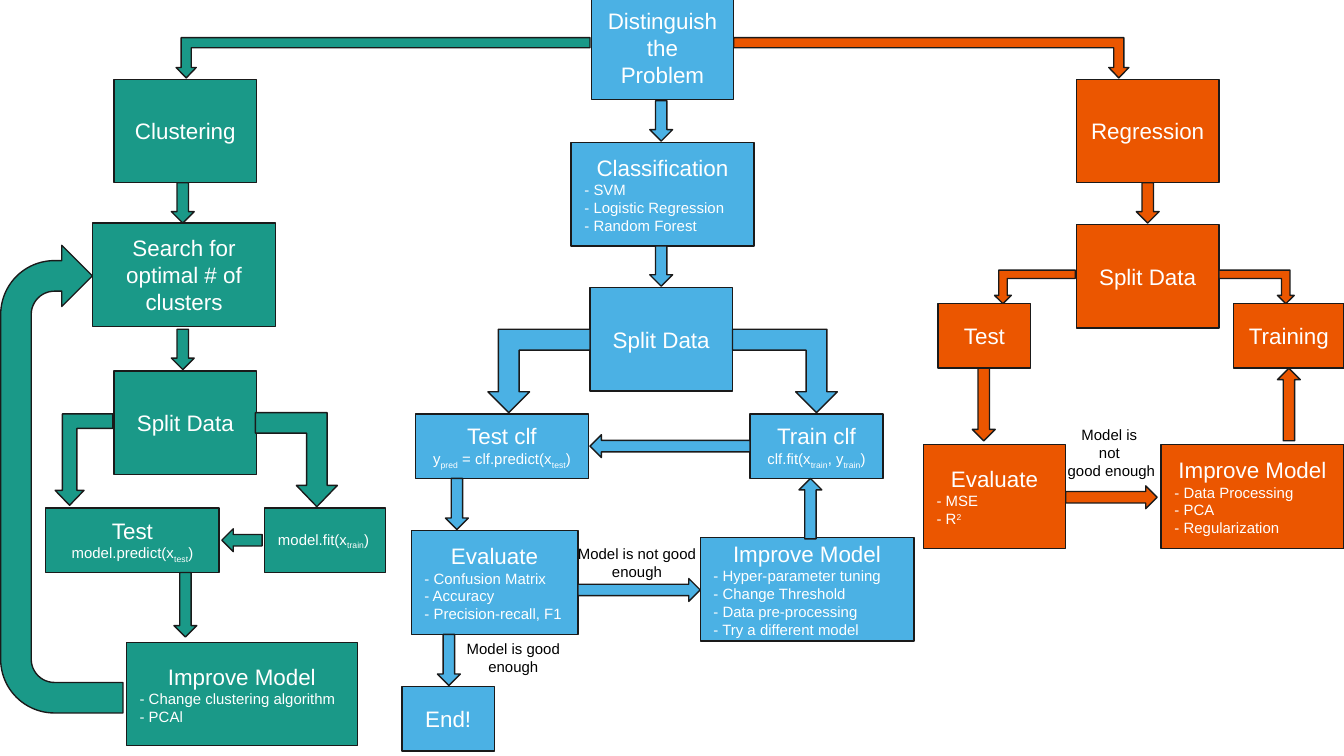
from dataclasses import dataclass
from pptx import Presentation
from pptx.dml.color import RGBColor as RGB
from pptx.enum.shapes import MSO_SHAPE as Kind
from pptx.enum.text import MSO_ANCHOR as Anchor, PP_ALIGN as Align
from pptx.util import Inches, Pt


@dataclass(frozen=True)
class Theme:
    green: RGB = RGB(0x1A, 0x99, 0x88)
    blue: RGB = RGB(0x4B, 0xB1, 0xE4)
    orange: RGB = RGB(0xEB, 0x56, 0x00)
    edge: RGB = RGB(0x1A, 0x1A, 0x1A)
    white: RGB = RGB(0xFF, 0xFF, 0xFF)
    black: RGB = RGB(0, 0, 0)
    font: str = "Arial"
    head: int = 12
    body: int = 8
    rule: float = 0.75


THEME = Theme()
TALL, LOW = 0.77, 0.48      # box heights
SIDE = 1.06                 # usual box width
THICK = 0.17                # straight arrow breadth
LEFT, MID = Align.LEFT, Align.CENTER


def write(para, text, size=THEME.body, color=THEME.white, align=LEFT):
    """Fill a paragraph; |x| sets x as subscript and |^x| as superscript."""
    para.alignment = align
    for i, part in enumerate(text.split("|")):
        if not part:
            continue
        run = para.add_run()
        run.text = part.lstrip("^")
        font = run.font
        font.name, font.size = THEME.font, Pt(size)
        font.color.rgb = color
        if i % 2:
            base = "30000" if part[0] == "^" else "-25000"
            run._r.get_or_add_rPr().set("baseline", base)


def frame(shape, anchor):
    """Set up the text frame and yield its paragraphs as they are needed."""
    body = shape.text_frame
    body.word_wrap = True
    body.vertical_anchor = anchor
    body.margin_left = body.margin_right = Inches(0.1)
    body.margin_top = body.margin_bottom = Inches(0.1)
    yield body.paragraphs[0]
    while True:
        yield body.add_paragraph()


def solid(slide, kind, x, y, w, h, color):
    shape = slide.shapes.add_shape(
        kind, Inches(x), Inches(y), Inches(w), Inches(h))
    shape.shadow.inherit = False
    shape.fill.solid()
    shape.fill.fore_color.rgb = color
    shape.line.color.rgb = THEME.edge
    shape.line.width = Pt(THEME.rule)
    return shape


def box(slide, color, x, y, w, h, head, *lines, align=LEFT):
    paras = frame(solid(slide, Kind.RECTANGLE, x, y, w, h, color),
                  Anchor.MIDDLE)
    if head:
        write(next(paras), head, size=THEME.head, align=MID)
    for line in lines:
        write(next(paras), line, align=align)


def arrow(slide, color, x1, y1, x2, y2):
    """Draw a straight block arrow from one point to the other."""
    span = abs(x2 - x1) + abs(y2 - y1)
    if x1 == x2:
        turn = 0 if y2 > y1 else 180
    else:
        turn = 90 if x2 < x1 else 270
    shape = solid(slide, Kind.DOWN_ARROW, (x1 + x2 - THICK) / 2,
                  (y1 + y2 - span) / 2, THICK, span, color)
    shape.rotation = turn


def bend(slide, color, x, y, w, h, right=False, head=0.25):
    """Draw an arrow that runs sideways and then turns down."""
    shape = solid(slide, Kind.BENT_UP_ARROW, x, y, w, h, color)
    shape.adjustments[2] = head
    shape.rotation = 180
    if right:
        shape._element.spPr.xfrm.set("flipH", "1")


def loop(slide, color, x, y, w, h):
    """Draw the arrow that goes back up to an earlier step."""
    shape = solid(slide, Kind.U_TURN_ARROW, x, y, w, h, color)
    for i, part in enumerate((0.25, 0.25, 0.25, 0.44, 0.75)):
        shape.adjustments[i] = part
    shape.rotation = 270


def label(slide, x, y, *lines):
    area = slide.shapes.add_textbox(
        Inches(x), Inches(y), Inches(1.2), Inches(0.34))
    paras = frame(area, Anchor.TOP)
    for line in lines:
        write(next(paras), line, color=THEME.black, align=MID)


def cluster(slide):
    tone = THEME.green
    bend(slide, tone, 1.31, 0.28, 3.08, 0.3, head=0.26)
    box(slide, tone, 0.85, 0.59, SIDE, TALL, "Clustering")
    box(slide, tone, 0.69, 1.66, 1.36, TALL,
        "Search for optimal # of clusters")
    box(slide, tone, 0.85, 2.76, SIDE, TALL, "Split Data")
    bend(slide, tone, 0.41, 3.08, 0.43, 0.68, head=0.26)
    box(slide, tone, 0.34, 3.78, 1.29, LOW,
        "Test", "model.predict(x|test|)", align=MID)
    box(slide, tone, 1.97, 3.78, 0.9, LOW, None, "model.fit(x|train|)")
    bend(slide, tone, 1.9, 3.07, 0.61, 0.7, right=True, head=0.26)
    box(slide, tone, 0.94, 4.78, 1.72, TALL, "Improve Model",
        "- Change clustering algorithm", "- PCAl")
    for ends in ((1.36, 1.36, 1.36, 1.66), (1.36, 2.45, 1.36, 2.75),
                 (1.95, 4.02, 1.65, 4.02), (1.38, 4.26, 1.38, 4.74)):
        arrow(slide, tone, *ends)
    loop(slide, tone, -1.28, 3.11, 3.48, 0.91)


def classify(slide):
    tone = THEME.blue
    box(slide, tone, 4.4, -0.03, SIDE, TALL, "Distinguish the Problem")
    box(slide, tone, 4.25, 1.06, 1.36, TALL, "Classification",
        "- SVM", "- Logistic Regression", "- Random Forest")
    box(slide, tone, 4.39, 2.14, SIDE, TALL, "Split Data")
    bend(slide, tone, 3.63, 2.45, 0.76, 0.62)
    bend(slide, tone, 5.45, 2.45, 0.78, 0.62, right=True)
    box(slide, tone, 3.09, 3.08, 1.29, LOW, "Test clf",
        "y|pred| = clf.predict(x|test|)", align=MID)
    box(slide, tone, 5.58, 3.08, 0.99, LOW, "Train clf",
        "clf.fit(x|train|, y|train|)", align=MID)
    box(slide, tone, 3.06, 3.95, 1.24, TALL, "Evaluate",
        "- Confusion Matrix", "- Accuracy", "- Precision-recall, F1")
    box(slide, tone, 5.21, 4, 1.59, TALL, "Improve Model",
        "- Hyper-parameter tuning", "- Change Threshold",
        "- Data pre-processing", "- Try a different model")
    box(slide, tone, 2.99, 5.11, 0.69, LOW, "End!")
    for ends in ((4.92, 0.75, 4.92, 1.05), (4.92, 1.83, 4.92, 2.13),
                 (5.58, 3.32, 4.39, 3.32), (3.4, 3.56, 3.4, 3.94),
                 (4.3, 4.39, 5.21, 4.39), (6.03, 4.01, 6.03, 3.56),
                 (3.34, 4.72, 3.34, 5.1)):
        arrow(slide, tone, *ends)
    label(slide, 4.14, 3.95, "Model is not good enough")
    label(slide, 3.22, 4.66, "Model is good enough")


def regress(slide):
    tone = THEME.orange
    bend(slide, tone, 5.46, 0.28, 2.94, 0.3, right=True, head=0.26)
    box(slide, tone, 8.01, 0.59, SIDE, TALL, "Regression")
    box(slide, tone, 8.01, 1.67, SIDE, TALL, "Split Data")
    bend(slide, tone, 7.4, 2.01, 0.6, 0.25)
    bend(slide, tone, 9.07, 2.01, 0.56, 0.25, right=True)
    box(slide, tone, 6.98, 2.26, 0.69, LOW, "Test")
    box(slide, tone, 9.18, 2.26, 0.82, LOW, "Training")
    box(slide, tone, 6.87, 3.31, SIDE, TALL, "Evaluate",
        "- MSE", "- R|^2|")
    box(slide, tone, 8.64, 3.31, 1.36, TALL, "Improve Model",
        "- Data Processing", "- PCA", "- Regularization")
    for ends in ((8.54, 1.36, 8.54, 1.66), (7.32, 2.74, 7.32, 3.28),
                 (7.93, 3.7, 8.61, 3.7), (9.59, 3.28, 9.59, 2.74)):
        arrow(slide, tone, *ends)
    label(slide, 7.67, 3.07, "Model is ", "not ", "good enough")


def main():
    deck = Presentation()
    deck.slide_width = Inches(10)
    deck.slide_height = deck.slide_width * 9 // 16
    slide = deck.slides.add_slide(deck.slide_layouts[6])
    classify(slide)
    regress(slide)
    cluster(slide)
    deck.save("out.pptx")


if __name__ == "__main__":
    main()
